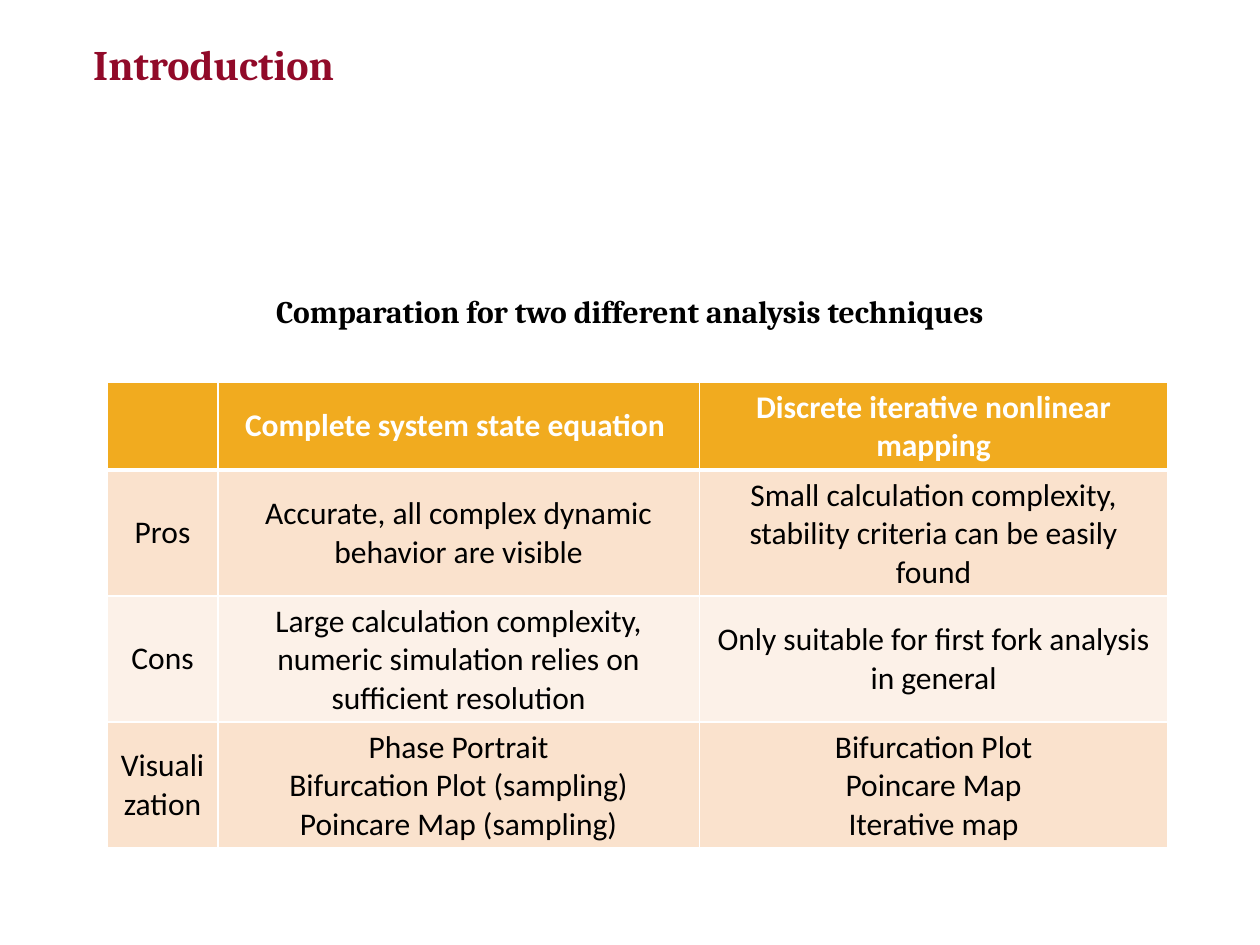
from lxml import etree
from pptx import Presentation
from pptx.dml.color import RGBColor
from pptx.enum import text
from pptx.oxml import ns
from pptx.util import Inches, Pt

CRIMSON = RGBColor(0x91, 0x0A, 0x29)
BLACK = RGBColor(0, 0, 0)
WHITE = RGBColor(0xFF, 0xFF, 0xFF)
GOLD = RGBColor(0xF1, 0xAB, 0x1F)
BANDS = [RGBColor(0xFC, 0xF1, 0xE8), RGBColor(0xFA, 0xE2, 0xCD)]

TITLE = "Introduction"
CAPTION = "Comparation for two different analysis techniques"
# Each cell is a list of paragraphs
ROWS = [
    [[], ["Complete system state equation "],
     ["Discrete iterative nonlinear mapping"]],
    [["Pros"], ["Accurate, all complex dynamic behavior are visible"],
     ["Small calculation complexity, stability criteria can be easily found"]],
    [["Cons"],
     ["Large calculation complexity, numeric simulation relies on sufficient resolution"],
     ["Only suitable for first fork analysis in general"]],
    [["Visualization"],
     ["Phase Portrait", "Bifurcation Plot (sampling)", "Poincare Map (sampling)"],
     ["Bifurcation Plot", "Poincare Map", "Iterative map"]],
]
COL_WIDTHS = [0.88, 3.82, 3.72]
ROW_HEIGHTS = [0.7, 1, 1, 1]


def add_paragraphs(tf, lines, font, size, color, bold, align):
    for i, line in enumerate(lines):
        p = tf.paragraphs[0] if i == 0 else tf.add_paragraph()
        p.alignment = align
        r = p.add_run()
        r.text = line
        r.font.name, r.font.size, r.font.bold = font, Pt(size), bold
        r.font.color.rgb = color


def add_text(slide, box, line, size, color, align):
    tf = slide.shapes.add_textbox(*map(Inches, box)).text_frame
    tf.word_wrap = True
    add_paragraphs(tf, [line], "Cambria", size, color, True, align)
    return tf


def set_borders(cell, bottom):
    tc_pr = cell._tc.get_or_add_tcPr()
    widths = {"lnL": 1, "lnR": 1, "lnT": 1, "lnB": bottom}
    for i, (side, width) in enumerate(widths.items()):
        ln = etree.Element(ns.qn(f"a:{side}"), w=str(Pt(width)))
        fill = etree.SubElement(ln, ns.qn("a:solidFill"))
        etree.SubElement(fill, ns.qn("a:srgbClr"), val=str(WHITE))
        tc_pr.insert(i, ln)


prs = Presentation()
prs.slide_width, prs.slide_height = Inches(10), Inches(7.5)
s = prs.slides.add_slide(prs.slide_layouts[6])

# Title
tf = add_text(s, (0.74, 0, 6.7, 1.03), TITLE, 24, CRIMSON, text.PP_ALIGN.LEFT)
tf.vertical_anchor = text.MSO_ANCHOR.MIDDLE
tf.margin_left = tf.margin_bottom = 0
tf.paragraphs[0].line_spacing = Pt(24)

# Table caption
add_text(s, (0.52, 2.27, 8.96, 0.4), CAPTION, 18, BLACK, text.PP_ALIGN.CENTER)

# Comparison table
table = s.shapes.add_table(
    len(ROWS), len(COL_WIDTHS), Inches(0.85), Inches(3.03),
    Inches(sum(COL_WIDTHS)), Inches(sum(ROW_HEIGHTS))).table
for col, width in zip(table.columns, COL_WIDTHS):
    col.width = Inches(width)
for i, (row, height) in enumerate(zip(ROWS, ROW_HEIGHTS)):
    header = i == 0
    table.rows[i].height = Inches(height)
    for j, lines in enumerate(row):
        cell = table.cell(i, j)
        cell.vertical_anchor = text.MSO_ANCHOR.MIDDLE
        cell.fill.solid()
        cell.fill.fore_color.rgb = GOLD if header else BANDS[i % 2]
        set_borders(cell, 3 if header else 1)
        add_paragraphs(cell.text_frame, lines, "Calibri", 18,
                       WHITE if header else BLACK, header, text.PP_ALIGN.CENTER)

prs.save("out.pptx")
